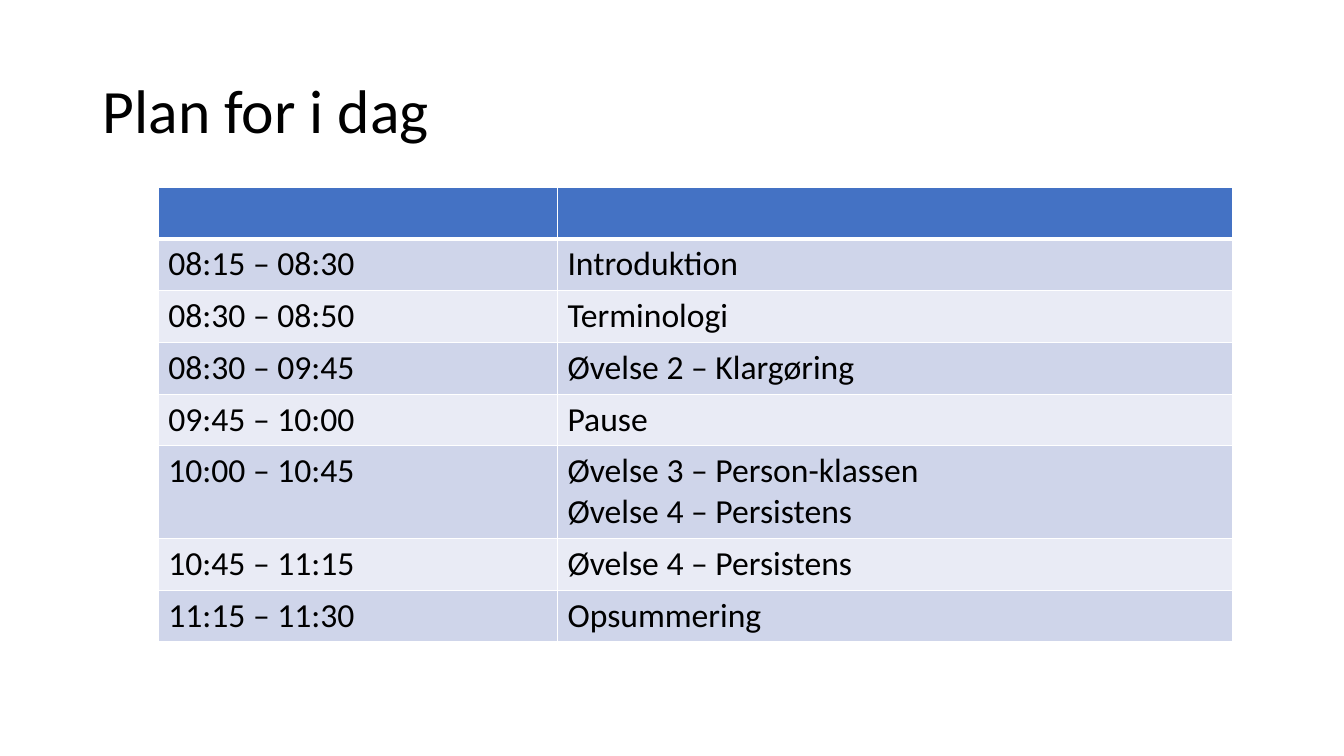
from dataclasses import dataclass

from lxml.etree import SubElement
from pptx import Presentation
from pptx.dml.color import RGBColor as RGB
from pptx.enum.text import MSO_ANCHOR as Anchor
from pptx.oxml.ns import qn
from pptx.util import Emu, Inches, Pt

BLACK = RGB(0x00, 0x00, 0x00)
WHITE = RGB(0xFF, 0xFF, 0xFF)
HEADER = RGB(0x44, 0x72, 0xC4)
BANDS = (RGB(0xE9, 0xEB, 0xF5), RGB(0xCF, 0xD5, 0xEA))

WIDTH, HEIGHT = Inches(13.333), Inches(7.5)
COLUMNS = (29.7, 50.25)
ROW, EXTRA_LINE = 6.85, 5.4
THIN, THICK = Pt(1), Pt(3)


@dataclass(frozen=True)
class Box:
    left: float
    top: float
    width: float
    height: float

    def place(self) -> tuple[Emu, Emu, Emu, Emu]:
        return across(self.left), down(self.top), across(self.width), down(self.height)


@dataclass(frozen=True)
class Entry:
    time: str = ""
    topics: tuple[str, ...] = ("",)

    @property
    def height(self) -> float:
        return ROW + EXTRA_LINE * (len(self.topics) - 1)


PLAN = (
    Entry(),
    Entry("08:15 – 08:30", ("Introduktion",)),
    Entry("08:30 – 08:50", ("Terminologi",)),
    Entry("08:30 – 09:45", ("Øvelse 2 – Klargøring",)),
    Entry("09:45 – 10:00", ("Pause",)),
    Entry("10:00 – 10:45", ("Øvelse 3 – Person-klassen", "Øvelse 4 – Persistens")),
    Entry("10:45 – 11:15", ("Øvelse 4 – Persistens",)),
    Entry("11:15 – 11:30", ("Opsummering",)),
)
TITLE_BOX = Box(6.9, 5.33, 86.25, 19.33)
PLAN_BOX = Box(11.78, 24.75, sum(COLUMNS), sum(entry.height for entry in PLAN))


def across(percent: float) -> Emu:
    return Emu(round(WIDTH * percent / 100))


def down(percent: float) -> Emu:
    return Emu(round(HEIGHT * percent / 100))


def write(tf, lines: tuple[str, ...], size: int) -> None:
    for i, line in enumerate(lines):
        p = tf.add_paragraph() if i else tf.paragraphs[0]
        if not line:
            continue
        r = p.add_run()
        r.text = line
        for name, value in {"name": "Calibri", "size": Pt(size)}.items():
            setattr(r.font, name, value)
        r.font.color.rgb = BLACK


def add_borders(cell, top: Pt, bottom: Pt) -> None:
    tc_pr = cell._tc.get_or_add_tcPr()
    for side, width in {"L": THIN, "R": THIN, "T": top, "B": bottom}.items():
        ln = SubElement(tc_pr, qn(f"a:ln{side}"), w=str(width))
        fill = SubElement(ln, qn("a:solidFill"))
        SubElement(fill, qn("a:srgbClr"), val=str(WHITE))


def add_title(s, text: str) -> None:
    tf = s.shapes.add_textbox(*TITLE_BOX.place()).text_frame
    for name, value in {"word_wrap": True, "vertical_anchor": Anchor.MIDDLE}.items():
        setattr(tf, name, value)
    write(tf, (text,), 44)
    tf.paragraphs[0].line_spacing = 0.9


def add_plan(s) -> None:
    table = s.shapes.add_table(len(PLAN), len(COLUMNS), *PLAN_BOX.place()).table
    for column, width in zip(table.columns, COLUMNS):
        column.width = across(width)
    for i, entry in enumerate(PLAN):
        table.rows[i].height = down(entry.height)
        for j, lines in enumerate(((entry.time,), entry.topics)):
            cell = table.cell(i, j)
            add_borders(cell, THICK if i == 1 else THIN, THICK if i == 0 else THIN)
            cell.fill.solid()
            cell.fill.fore_color.rgb = BANDS[i % 2] if i else HEADER
            write(cell.text_frame, lines, 24)


def main() -> None:
    prs = Presentation()
    for name, value in {"slide_width": WIDTH, "slide_height": HEIGHT}.items():
        setattr(prs, name, value)
    s = prs.slides.add_slide(prs.slide_layouts[6])
    add_title(s, "Plan for i dag")
    add_plan(s)
    prs.save("out.pptx")


if __name__ == "__main__":
    main()
